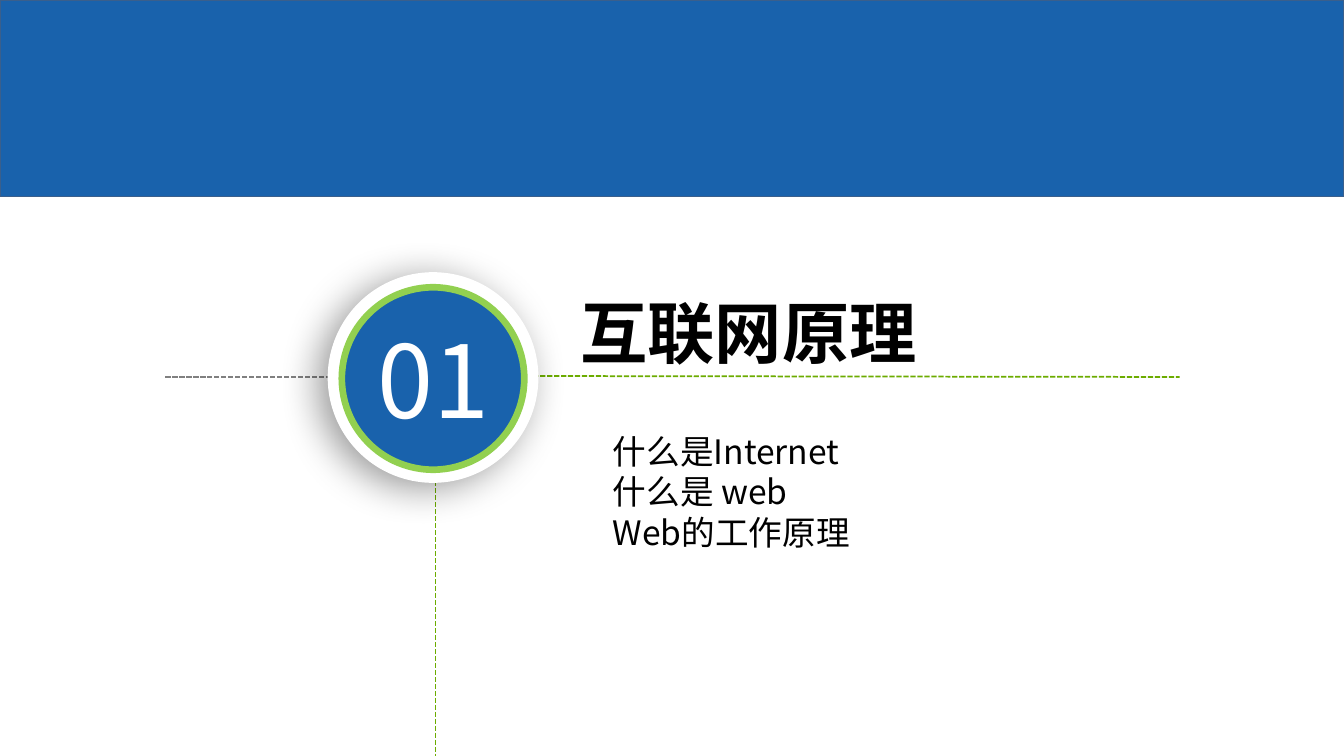
from dataclasses import dataclass

from lxml.etree import SubElement
from pptx import Presentation
from pptx.dml.color import RGBColor
from pptx.enum.dml import MSO_LINE
from pptx.enum.shapes import MSO_CONNECTOR, MSO_SHAPE
from pptx.enum.text import MSO_ANCHOR, PP_ALIGN
from pptx.oxml.ns import qn
from pptx.shapes.autoshape import Shape
from pptx.slide import Slide
from pptx.util import Inches, Pt

COLORS = {"blue": "1962AC", "edge": "3A5F8C", "ring": "92D050", "green": "6CAC00",
          "gray": "808080", "white": "FFFFFF", "black": "000000"}
CJK_FONT = "Noto Sans CJK SC"


@dataclass
class DashedLine:
    x1: float
    y1: float
    x2: float
    y2: float
    color: str


@dataclass
class Panel:
    kind: MSO_SHAPE
    box: tuple[float, float, float, float]
    fill: str
    line: str | None = None
    width: float = 0


@dataclass
class Label:
    text: str
    size: int
    font: str
    color: str
    bold: bool = False
    spacing: int | None = None


LINES = [
    DashedLine(4.32, 4.22, 4.32, 7.5, "green"),
    DashedLine(5.01, 3.73, 11.7, 3.74, "green"),
    DashedLine(1.64, 3.74, 3.61, 3.74, "gray"),
]
DISC = Panel(MSO_SHAPE.OVAL, (3.25, 2.7, 2.09, 2.09), "white")
BADGE = Panel(MSO_SHAPE.OVAL, (3.39, 2.85, 1.81, 1.81), "blue", "ring", 4.75)
BANNER = Panel(MSO_SHAPE.RECTANGLE, (0, 0, 13.33, 1.95), "blue", "edge", 1)
NUMBER = Label("01", 72, "Noto Sans CJK JP", "white")
TITLE = Label("互联网原理", 48, "Arial", "black", bold=True)
TOPICS = Label("什么是Internet \n什么是 web\nWeb的工作原理", 24, CJK_FONT, "black", spacing=29)


def rgb(name: str) -> RGBColor:
    return RGBColor.from_string(COLORS[name])


def add_line(s: Slide, line: DashedLine) -> None:
    ends = [Inches(v) for v in (line.x1, line.y1, line.x2, line.y2)]
    sp = s.shapes.add_connector(MSO_CONNECTOR.STRAIGHT, *ends)
    sp.line.color.rgb = rgb(line.color)
    sp.line.width = Pt(1.25)
    sp.line.dash_style = MSO_LINE.SQUARE_DOT
    SubElement(sp.element.spPr, qn("a:effectLst"))


def add_panel(s: Slide, panel: Panel) -> Shape:
    sp = s.shapes.add_shape(panel.kind, *map(Inches, panel.box))
    sp.shadow.inherit = False
    sp.fill.solid()
    sp.fill.fore_color.rgb = rgb(panel.fill)
    if panel.line:
        sp.line.color.rgb = rgb(panel.line)
        sp.line.width = Pt(panel.width)
    else:
        sp.line.fill.background()
    return sp


def add_shadow(sp: Shape) -> None:
    effects = sp.element.spPr.find(qn("a:effectLst"))
    shadow = SubElement(effects, qn("a:outerShdw"), blurRad=str(Pt(28)), dist=str(Pt(8)),
                        dir=str(150 * 60000), algn="ctr", rotWithShape="0")
    color = SubElement(shadow, qn("a:srgbClr"), val=COLORS["black"])
    SubElement(color, qn("a:alpha"), val="40000")


def write(sp: Shape, label: Label, align: PP_ALIGN, anchor: MSO_ANCHOR) -> None:
    tf = sp.text_frame
    tf.word_wrap = True
    tf.vertical_anchor = anchor
    tf.text = label.text
    for p in tf.paragraphs:
        p.alignment = align
        if label.spacing:
            p.line_spacing = Pt(label.spacing)
        for r in p.runs:
            r.font.size = Pt(label.size)
            r.font.bold = label.bold
            r.font.name = label.font
            r.font.color.rgb = rgb(label.color)
            SubElement(r.font._element, qn("a:ea"), typeface=CJK_FONT)


def main() -> None:
    """Build the chapter-opening slide and save it."""
    prs = Presentation()
    prs.slide_width, prs.slide_height = Inches(13.33), Inches(7.5)
    s = prs.slides.add_slide(prs.slide_layouts[6])

    for line in LINES:
        add_line(s, line)
    add_shadow(add_panel(s, DISC))

    badge = add_panel(s, BADGE)
    write(badge, NUMBER, PP_ALIGN.CENTER, MSO_ANCHOR.MIDDLE)
    tf = badge.text_frame
    tf.margin_left = tf.margin_right = tf.margin_top = tf.margin_bottom = 0

    title = s.shapes.add_textbox(Inches(5.66), Inches(2.94), Inches(5.39), Inches(0.7))
    write(title, TITLE, PP_ALIGN.LEFT, MSO_ANCHOR.MIDDLE)
    topics = s.shapes.add_textbox(Inches(5.98), Inches(4.22), Inches(6.01), Inches(1.31))
    write(topics, TOPICS, PP_ALIGN.LEFT, MSO_ANCHOR.TOP)

    add_panel(s, BANNER)
    prs.save("out.pptx")


main()
